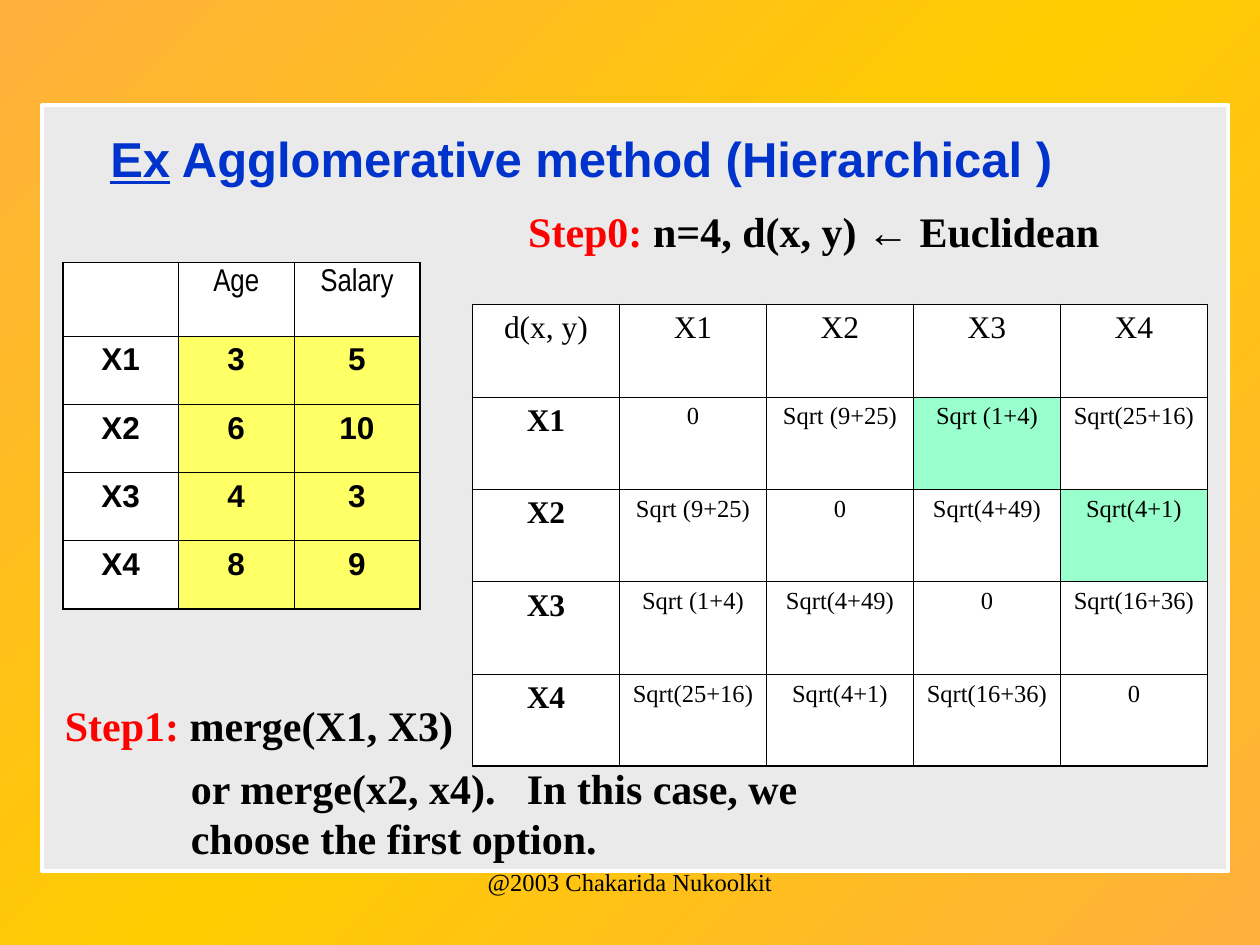
from copy import deepcopy

from lxml import etree
from pptx import Presentation
from pptx import util as u
from pptx.dml.color import RGBColor
from pptx.enum import shapes, text
from pptx.oxml.ns import qn

Pt = u.Pt

THEME = {
    "edge": "FFB03D", "middle": "FFCC00", "panel": "EAEAEA", "white": "FFFFFF",
    "black": "000000", "blue": "0033CC", "red": "FF0000",
    "yellow": "FFFF66", "green": "99FFCC",
    "serif": "Times New Roman", "sans": "Arial", "narrow": "Arial Narrow",
    "title": 28, "step": 24, "label": 18, "small": 14,
    "outer": 1.08, "inner": 0.45,
}


def style(size, name, color="black", bold=False, underline=False):
    return {"size": Pt(THEME[size]), "name": THEME[name], "color": color,
            "bold": bold, "underline": underline}


TITLE = style("title", "sans", "blue", True)
STEP = style("step", "serif", bold=True)
STEP_NAME = {**STEP, "color": "red"}
ARROW = {**STEP, "name": THEME["sans"]}

# Content: box (left, top, width, height), alignment, anchor, tab stop, runs
CENTER, LEFT = text.PP_ALIGN.CENTER, text.PP_ALIGN.LEFT
TOP, MIDDLE = text.MSO_ANCHOR.TOP, text.MSO_ANCHOR.MIDDLE
PANEL = (24, 60, 678, 553 - 60 + 4.5)
HEADING = ((42, 66, 588, 48), CENTER, MIDDLE, None,
           [("Ex", {**TITLE, "underline": True}),
            (" Agglomerative method (Hierarchical ) ", TITLE)])
NOTES = [
    ((258, 114, 414, 36), CENTER, TOP, None,
     [("Step0:", STEP_NAME), (" n=4, d(x, y) ", STEP), ("←", ARROW),
      (" Euclidean", STEP)]),
    ((30, 396, 276, 36), LEFT, TOP, None,
     [("Step1:", STEP_NAME), (" merge(X1, X3)", STEP)]),
    ((102, 432, 366, 65), LEFT, TOP, 192,
     [("or merge(x2, x4).\tIn this case, we choose the first option.", STEP)]),
    ((246, 492, 228, 36), CENTER, TOP, None,
     [("@2003 Chakarida Nukoolkit", style("small", "serif"))]),
]
DATA = {
    "origin": (36, 150), "columns": [66, 66, 72], "rows": [42] + [39] * 4,
    "cells": [["", "Age", "Salary"],
              ["X1", "3", "5"],
              ["X2", "6", "10"],
              ["X3", "4", "3"],
              ["X4", "8", "9"]],
    "header": style("label", "narrow"),
    "names": style("label", "sans", bold=True),
    "values": style("label", "sans", bold=True),
    "marks": {(row, column): "yellow" for row in range(1, 5) for column in (1, 2)},
}
DISTANCES = {
    "origin": (270, 174), "columns": [84] * 5, "rows": [52.8] * 5,
    "cells": [["d(x, y)", "X1", "X2", "X3", "X4"],
              ["X1", "0", "Sqrt (9+25)", "Sqrt (1+4)", "Sqrt(25+16)"],
              ["X2", "Sqrt (9+25)", "0", "Sqrt(4+49)", "Sqrt(4+1)"],
              ["X3", "Sqrt (1+4)", "Sqrt(4+49)", "0", "Sqrt(16+36)"],
              ["X4", "Sqrt(25+16)", "Sqrt(4+1)", "Sqrt(16+36)", "0"]],
    "header": style("label", "serif"),
    "names": style("label", "serif", bold=True),
    "values": style("small", "serif"),
    "marks": {(1, 3): "green", (2, 4): "green"},
}


def rgb(name):
    return RGBColor.from_string(THEME[name])


def paint(fill, color):
    fill.solid()
    fill.fore_color.rgb = rgb(color)


def write(paragraph, runs, alignment):
    paragraph.alignment = alignment
    for words, values in runs:
        run = paragraph.add_run()
        run.text = words
        for key, value in values.items():
            if key == "color":
                run.font.color.rgb = rgb(value)
            else:
                setattr(run.font, key, value)


def add_text(slide, box, alignment, anchor, tab, runs):
    frame = slide.shapes.add_textbox(*map(Pt, box)).text_frame
    frame.word_wrap = True
    frame.vertical_anchor = anchor
    paragraph = frame.paragraphs[0]
    if tab:
        tabs = etree.SubElement(paragraph._p.get_or_add_pPr(), qn("a:tabLst"))
        etree.SubElement(tabs, qn("a:tab"), pos=str(Pt(tab)), algn="l")
    write(paragraph, runs, alignment)


def add_borders(cell, outer_sides):
    properties = cell._tc.get_or_add_tcPr()
    for position, side in enumerate("LRTB"):
        width = THEME["outer" if outer_sides[side] else "inner"]
        line = etree.Element(qn(f"a:ln{side}"), w=str(Pt(width)))
        fill = etree.SubElement(line, qn("a:solidFill"))
        etree.SubElement(fill, qn("a:srgbClr"), val=THEME["black"])
        properties.insert(position, line)


def add_grid(slide, grid):
    columns, rows = grid["columns"], grid["rows"]
    box = (*grid["origin"], sum(columns), sum(rows))
    table = slide.shapes.add_table(len(rows), len(columns), *map(Pt, box)).table
    for column, width in zip(table.columns, columns):
        column.width = Pt(width)
    for row, height in zip(table.rows, rows):
        row.height = Pt(height)
    for i, words_in_row in enumerate(grid["cells"]):
        for j, words in enumerate(words_in_row):
            cell = table.cell(i, j)
            paint(cell.fill, grid["marks"].get((i, j), "white"))
            add_borders(cell, {"L": j == 0, "R": j == len(columns) - 1,
                               "T": i == 0, "B": i == len(rows) - 1})
            kind = "header" if i == 0 else "names" if j == 0 else "values"
            if words:
                write(cell.text_frame.paragraphs[0], [(words, grid[kind])], CENTER)


def add_background(slide):
    fill = slide.background.fill
    fill.gradient()
    fill.gradient_angle = 135
    for stop in fill.gradient_stops:
        stop.color.rgb = rgb("edge")
    first = next(slide.element.iter(qn("a:gs")))
    middle = deepcopy(first)
    middle.set("pos", "50000")
    middle.find(qn("a:srgbClr")).set("val", THEME["middle"])
    first.addnext(middle)


def main():
    presentation = Presentation()
    presentation.slide_width, presentation.slide_height = Pt(720), Pt(540)
    slide = presentation.slides.add_slide(presentation.slide_layouts[6])
    add_background(slide)

    # Panel behind the content
    left, top, width, _ = PANEL
    panel = slide.shapes.add_shape(shapes.MSO_SHAPE.RECTANGLE,
                                   Pt(left), Pt(top), Pt(width), Pt(438))
    panel.shadow.inherit = False
    paint(panel.fill, "panel")
    paint(panel.line.fill, "white")
    panel.line.width = Pt(2.25)

    # Title, tables, then steps and footer
    add_text(slide, *HEADING)
    for grid in (DATA, DISTANCES):
        add_grid(slide, grid)
    for note in NOTES:
        add_text(slide, *note)

    presentation.save("out.pptx")


if __name__ == "__main__":
    main()
